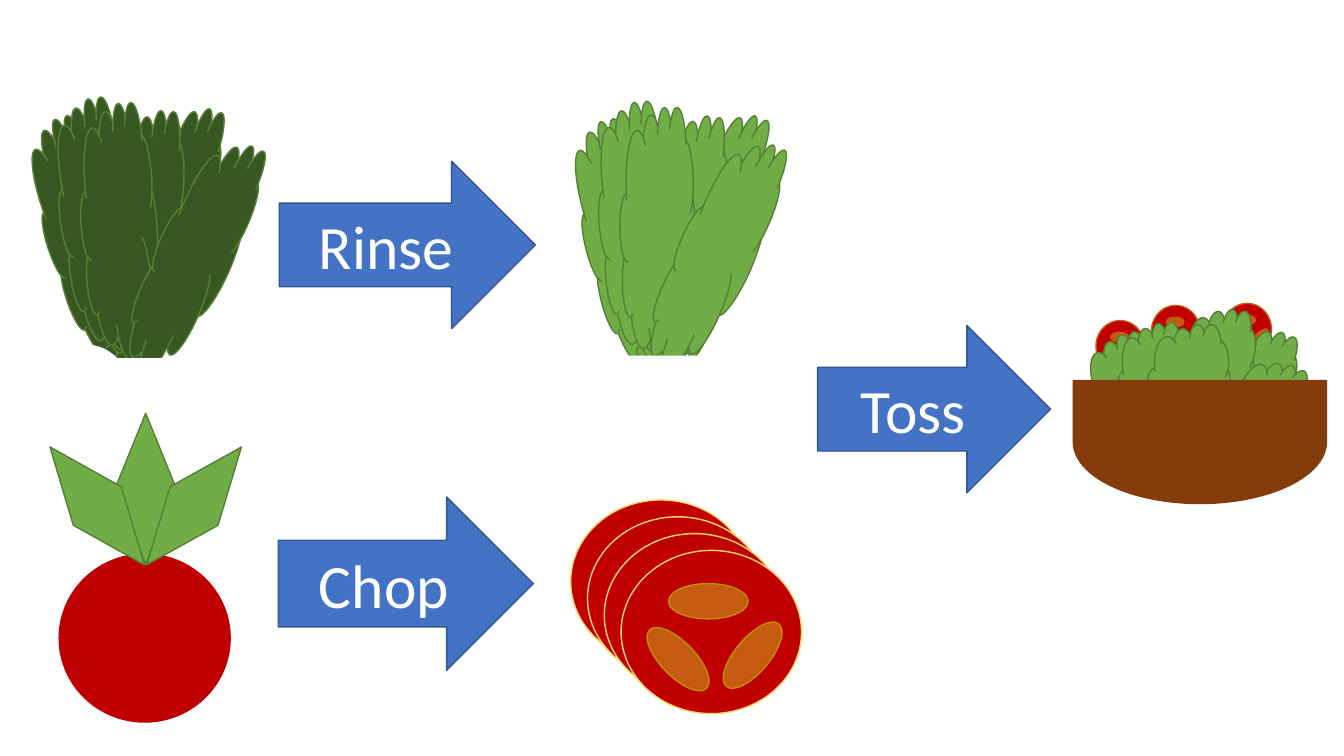
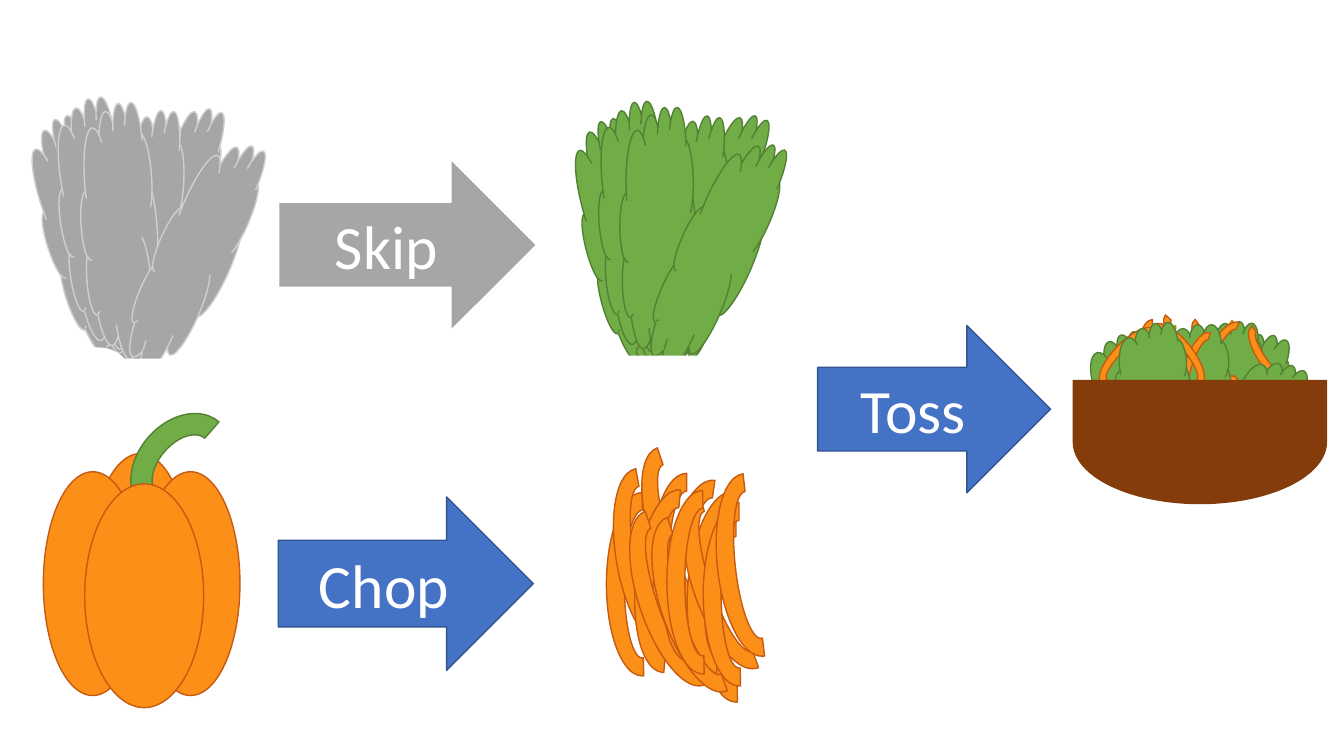
from dataclasses import dataclass

from pptx import Presentation
from pptx.dml.color import RGBColor
from pptx.enum.shapes import MSO_SHAPE as Preset
from pptx.enum.text import MSO_ANCHOR as Anchor, PP_ALIGN as Align
from pptx.util import Cm, Pt


@dataclass(frozen=True)
class Theme:
    font: str = "Calibri"
    label_size: int = 44
    line_width: int = 1
    label: str = "FFFFFF"
    step: tuple = ("4472C4", "325491")
    skipped: tuple = ("A6A6A6", None)
    dirty: tuple = ("385723", "548235")
    faded: tuple = ("A6A6A6", "D0CECE")
    green: tuple = ("70AD47", "538035")
    tomato: tuple = ("C00000", None)
    slice: tuple = ("C00000", "FFD966")
    salad_slice: tuple = ("C00000", "C55A11")
    seed: tuple = ("C55A11", "BF9000")
    salad_seed: tuple = ("C55A11", None)
    pepper: tuple = ("FC8F18", "C55A11")
    yellow: tuple = ("FFC000", "BD8E00")
    bowl: tuple = ("843C0B", "843C0B")
    paper: tuple = ("FFFFFF", "FFFFFF")


def inches(value):
    return Cm(value * 2.54)


class Storyboard:
    def __init__(self, theme):
        self.theme = theme
        self.deck = Presentation()
        self.deck.slide_width = inches(13.33)
        self.deck.slide_height = inches(7.5)
        self.slide = None

    def new_slide(self):
        self.slide = self.deck.slides.add_slide(self.deck.slide_layouts[6])

    def shape(self, preset, left, top, width, height, colours, turn=0):
        fill, outline = colours
        box = [inches(value) for value in (left, top, width, height)]
        shape = self.slide.shapes.add_shape(preset, *box)
        shape.rotation = turn
        shape.shadow.inherit = False
        shape.fill.solid()
        shape.fill.fore_color.rgb = RGBColor.from_string(fill)
        if outline:
            shape.line.color.rgb = RGBColor.from_string(outline)
            shape.line.width = Pt(self.theme.line_width)
        else:
            shape.line.fill.background()
        return shape

    def oval(self, left, top, width, height, colours, turn=0):
        self.shape(Preset.OVAL, left, top, width, height, colours, turn)

    def arrow(self, label, left, top, width, height, colours):
        arrow = self.shape(Preset.RIGHT_ARROW, left, top, width, height, colours)
        frame = arrow.text_frame
        frame.word_wrap = True
        frame.vertical_anchor = Anchor.MIDDLE
        paragraph = frame.paragraphs[0]
        paragraph.alignment = Align.CENTER
        run = paragraph.add_run()
        run.text = label
        run.font.name = self.theme.font
        run.font.size = Pt(self.theme.label_size)
        run.font.color.rgb = RGBColor.from_string(self.theme.label)

    def leaf(self, left, top, turn, colours, width=0.75, height=2.54):
        self.shape(Preset.CLOUD_CALLOUT, left, top, width, height, colours, turn)

    def lettuce(self, colours, front_leaf, trims, shift=0, drop=0, lean=0):
        for left, top, turn in HEAD_LEAVES:
            self.leaf(left + shift, top + drop, (turn + lean) % 360, colours)
        self.leaf(*front_leaf, colours)
        for left, top, width, height, turn in trims:
            self.shape(Preset.FLOWCHART_DELAY, left, top, width, height, self.theme.paper, turn)

    def salad_leaves(self, leaves):
        for left, top, width, height, turn in leaves:
            self.leaf(left, top, turn, self.theme.green, width, height)

    def strip(self, left, top, width, height, turn, colours):
        strip = self.shape(Preset.BLOCK_ARC, left, top, width, height, colours, turn)
        for index, value in enumerate((107.46, 0, 0.25)):
            strip.adjustments[index] = value

    def salad_strips(self, strips, colours):
        for left, top, turn in strips:
            self.strip(left, top, 0.76, 0.3, turn, colours)

    def salad_slice(self, left, top):
        self.oval(left, top, 0.48, 0.51, self.theme.salad_slice)
        for dx, dy, width, height, turn in SALAD_SEEDS:
            self.oval(left + dx, top + dy, width, height, self.theme.salad_seed, turn)

    def tomato(self):
        self.oval(0.58, 5.49, 1.71, 1.68, self.theme.tomato)
        for left, top, turn in ((1.14, 4.1, 0), (1.62, 4.27, 38.8), (0.66, 4.27, 321.3)):
            self.shape(Preset.DIAMOND, left, top, 0.61, 1.5, self.theme.green, turn)

    def tomato_slices(self):
        for index in range(4):
            offset = index / 6
            self.oval(5.66 + offset, 4.96 + offset, 1.79, 1.62, self.theme.slice)
        for left, top, width, height, turn in SLICE_SEEDS:
            self.oval(left, top, width, height, self.theme.seed, turn)

    def pepper(self):
        for left, top in ((0.9, 4.5), (0.43, 4.68), (1.4, 4.68)):
            self.oval(left, top, 0.98, 2.22, self.theme.pepper)
        self.shape(Preset.BLOCK_ARC, 1.22, 4.19, 1.15, 0.86, self.theme.green, 310.9)
        self.oval(0.84, 4.8, 1.18, 2.22, self.theme.pepper)

    def greens(self, colours, trims, first_step, first_colours):
        self.lettuce(colours, (1.54, 1.3, 23.8), trims)
        self.lettuce(self.theme.green, (6.71, 1.29, 23.8), CLEAN_TRIMS, 5.34, 0.04, 3.5)
        self.arrow(first_step, 2.77, 1.6, 2.54, 1.66, first_colours)
        self.arrow("Chop", 2.76, 4.93, 2.53, 1.72, self.theme.step)
        self.arrow("Toss", 8.11, 3.23, 2.31, 1.66, self.theme.step)

    def bowl(self):
        self.shape(Preset.FLOWCHART_DELAY, 11.29, 3.13, 1.22, 2.51, self.theme.bowl, 90)


HEAD_LEAVES = (
    (1.25, 1.27, 13.2), (0.48, 1.14, 342), (1.25, 0.99, 17.3),
    (0.61, 0.97, 351.2), (1.05, 1.08, 4.1), (0.81, 1.02, 355.7),
)
CLEAN_TRIMS = ((5.73, 3.54, 0.91, 0.89, 330.8), (6.19, 3.43, 0.89, 1.1, 90))
DIRTY_TRIMS = ((0.49, 3.42, 0.78, 0.83, 330.8), (1.04, 3.22, 0.42, 1.1, 90))
FADED_TRIMS = ((0.41, 3.48, 0.91, 0.7, 330.8), (0.99, 3.27, 0.51, 1.1, 90))

SALAD_SEEDS = (
    (0.14, 0.11, 0.19, 0.11, 0),
    (0.04, 0.32, 0.2, 0.09, 45.8),
    (0.24, 0.29, 0.24, 0.09, 135.9),
)
SLICE_SEEDS = (
    (6.63, 5.79, 0.79, 0.35, 0),
    (6.32, 6.37, 0.81, 0.34, 45.9),
    (7.06, 6.33, 0.81, 0.34, 310.1),
)

SALAD_SIDES = ((11.94, 3.53, 0.75, 1.12, 16.7), (10.82, 3.32, 0.75, 1.25, 345.5))
SALAD_FRONT = ((11.38, 3.22, 0.83, 1.26, 359.2), (12.12, 3.54, 0.75, 1.24, 23.8))
TOMATO_SALAD = (
    *SALAD_SIDES,
    (12.01, 3.22, 0.75, 1.45, 20.7),
    (11.09, 3.21, 0.75, 1.32, 354.7),
    (11.68, 3.05, 0.75, 1.33, 7.6),
    *SALAD_FRONT,
)
PEPPER_SALAD = (
    *SALAD_SIDES,
    (11.93, 3.25, 0.75, 1.45, 20.7),
    (11.75, 3.17, 0.75, 1.33, 7.6),
)

CHOPPED_STRIPS = (
    (5.46, 5.44, 270), (5.9, 5.25, 270), (5.9, 4.95, 251.4), (6.39, 5.7, 270),
    (6.27, 5.43, 275.7), (5.56, 5.19, 259.6), (5.75, 5.41, 275.7), (5.78, 5.58, 251.4),
    (6.05, 5.31, 278.3), (6.31, 5.41, 251.4), (6, 5.64, 251.4), (6.06, 5.42, 270),
    (6.42, 5.54, 270), (6.56, 5.25, 263.7),
)
BACK_STRIPS = ((11.05, 3.4, 270), (11.74, 3.39, 296.9), (11.46, 3.23, 222.4), (10.81, 3.39, 314.3))
MIDDLE_STRIPS = ((11.69, 3.33, 235.3), (12.26, 3.39, 233.6))
FRONT_STRIPS = ((11.51, 3.51, 288), (11.3, 3.37, 51.1))

theme = Theme()
story = Storyboard(theme)

story.new_slide()
for left, top in ((10.87, 3.18), (12.13, 3.01), (11.42, 3.03)):
    story.salad_slice(left, top)
story.greens(theme.dirty, DIRTY_TRIMS, "Rinse", theme.step)
story.tomato()
story.tomato_slices()
story.salad_leaves(TOMATO_SALAD)
story.bowl()

story.new_slide()
story.salad_strips([(12.07, 3.33, 232.6)], theme.yellow)
story.greens(theme.faded, FADED_TRIMS, "Skip", theme.skipped)
story.salad_leaves(PEPPER_SALAD)
story.pepper()
for left, top, turn in CHOPPED_STRIPS:
    story.strip(left, top, 1.82, 0.71, turn, theme.pepper)
story.salad_strips(BACK_STRIPS, theme.pepper)
story.salad_strips([(11.28, 3.46, 270)], theme.yellow)
story.salad_strips(MIDDLE_STRIPS, theme.pepper)
story.salad_leaves(SALAD_FRONT)
story.salad_strips(FRONT_STRIPS, theme.pepper)
story.salad_leaves([(11.06, 3.21, 0.75, 1.32, 354.7)])
story.bowl()

story.deck.save("out.pptx")
